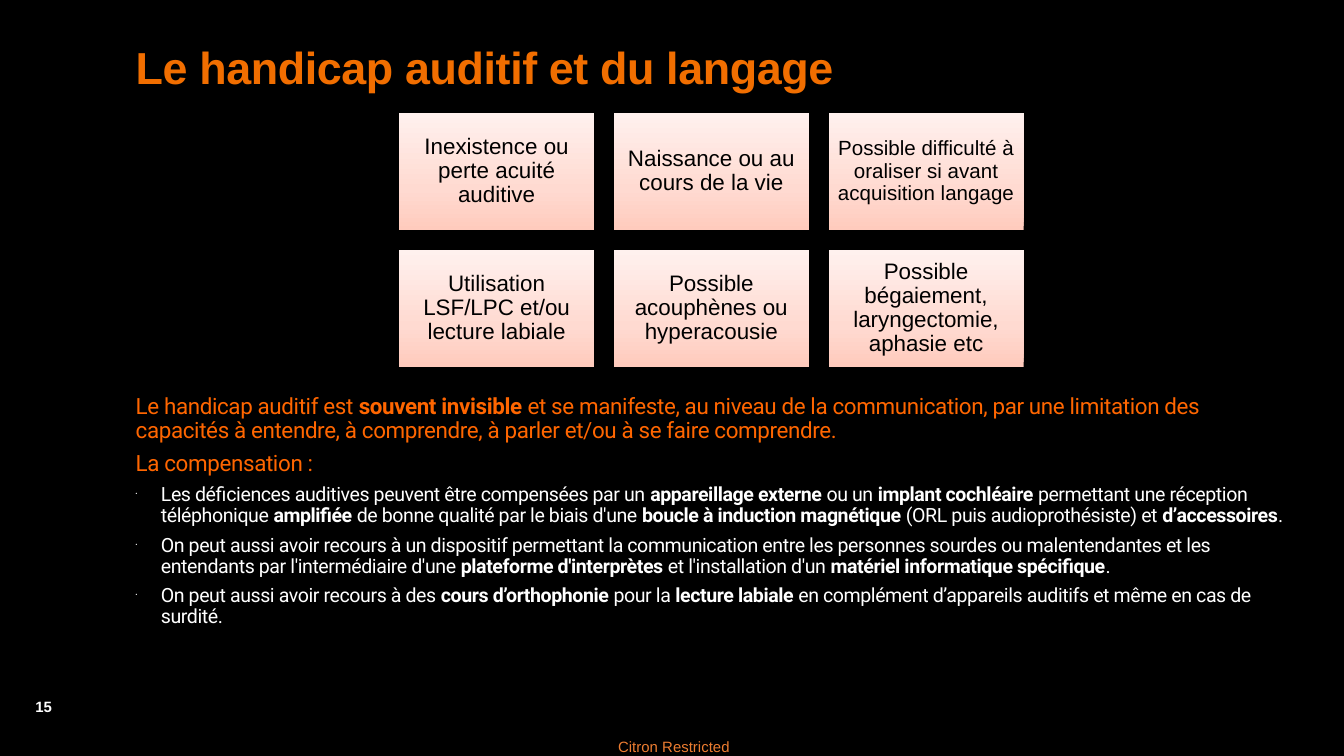
from copy import deepcopy

from lxml import etree
from pptx import Presentation
from pptx.dml.color import RGBColor
from pptx.enum.shapes import MSO_SHAPE
from pptx.enum.text import MSO_ANCHOR, MSO_AUTO_SIZE, PP_ALIGN
from pptx.oxml.ns import qn
from pptx.util import Pt

RECT = MSO_SHAPE.RECTANGLE
TOP, MIDDLE = MSO_ANCHOR.TOP, MSO_ANCHOR.MIDDLE
LEFT, CENTER = PP_ALIGN.LEFT, PP_ALIGN.CENTER
NO_FIT = MSO_AUTO_SIZE.NONE

COLORS = {
    "back": "000000", "title": "F16E00", "lead": "FF6600", "text": "FFFFFF",
    "card": "000000", "foot": "ED7D31",
    "low": "FFCBBD", "mid": "FFDAD1", "high": "FFF1EE",
}
STOPS = [(0, "low"), (0.35, "mid"), (1, "high")]

CARDS = [
    ("Inexistence ou perte acuité auditive", 12),
    ("Naissance ou au cours de la vie", 12),
    ("Possible difficulté à oraliser si avant acquisition langage", 11),
    ("Utilisation LSF/LPC et/ou lecture labiale", 12),
    ("Possible acouphènes ou hyperacousie", 12),
    ("Possible bégaiement, laryngectomie, aphasie etc", 12),
]
# Bold passages stand between asterisks.
LEADS = [
    "Le handicap auditif est *souvent invisible *et se manifeste, au niveau de la "
    "communication, par une limitation des capacités à entendre, à comprendre, "
    "à parler et/ou à se faire comprendre.",
    "La compensation :",
]
POINTS = [
    "Les déficiences auditives peuvent être compensées par un *appareillage externe *"
    "ou un *implant cochléaire *permettant une réception téléphonique *amplifiée* de "
    "bonne qualité par le biais d'une *boucle à induction magnétique* (ORL puis "
    "audioprothésiste) et *d’accessoires*.",
    "On peut aussi avoir recours à un dispositif permettant la communication entre "
    "les personnes sourdes ou malentendantes et les entendants par l'intermédiaire "
    "d'une *plateforme d'interprètes* et l'installation d'un *matériel informatique "
    "spécifique*.",
    "On peut aussi avoir recours à des *cours d’orthophonie* pour la *lecture labiale "
    "*en complément d’appareils auditifs et même en cas de surdité.",
]


def rgb(key):
    return RGBColor.from_string(COLORS[key])


def style(run, size, color, name="Arial", bold=False, tight=False):
    font = run.font
    font.size, font.name, font.bold = Pt(size), name, bold
    font.color.rgb = rgb(color)
    if tight:
        run._r.get_or_add_rPr().set("spc", "-20")


def place(shape, left, top, width, height):
    shape.left, shape.top = Pt(left), Pt(top)
    shape.width, shape.height = Pt(width), Pt(height)


def add_title(slide, *box):
    title = slide.shapes.title
    place(title, *box)
    frame = title.text_frame
    frame.text = "Le handicap auditif et du langage"
    frame.vertical_anchor, frame.auto_size = TOP, NO_FIT
    para = frame.paragraphs[0]
    para.alignment, para.line_spacing = LEFT, 0.9
    style(para.runs[0], 24, "title", bold=True, tight=True)


def set_bullet(para, dot):
    props = para._p.get_or_add_pPr()
    indent = Pt(13.5) if dot else 0
    props.set("marL", str(indent))
    props.set("indent", str(-indent))
    if not dot:
        etree.SubElement(props, qn("a:buNone"))
        return
    tint = etree.SubElement(props, qn("a:buClr"))
    etree.SubElement(tint, qn("a:srgbClr"), val=COLORS["text"])
    etree.SubElement(props, qn("a:buSzPct"), val="25000")
    etree.SubElement(props, qn("a:buFont"), typeface="Arial")
    etree.SubElement(props, qn("a:buChar"), char="•")


def add_body(slide, *box):
    body = slide.placeholders[1]
    place(body, *box)
    frame = body.text_frame
    frame.vertical_anchor, frame.auto_size = TOP, NO_FIT
    for i, text in enumerate(LEADS + POINTS):
        para = frame.add_paragraph() if i else frame.paragraphs[0]
        dot = i >= len(LEADS)
        size, color = (10.5, "text") if dot else (12, "lead")
        para.level = int(dot)
        set_bullet(para, dot)
        para.alignment, para.line_spacing = LEFT, 0.9
        para.space_before = Pt(4.5 if i else 0)
        for j, part in enumerate(text.split("*")):
            run = para.add_run()
            run.text = part
            style(run, size, color, "Roboto", j % 2 == 1, True)


def add_shade(shape):
    """Give the shape a soft shadow falling straight down."""
    shape.shadow.inherit = False
    effects = shape._element.spPr.find(qn("a:effectLst"))
    shade = etree.SubElement(effects, qn("a:outerShdw"), blurRad=str(Pt(3.1)),
                             dist=str(Pt(1.6)), dir="5400000", rotWithShape="0")
    tint = etree.SubElement(shade, qn("a:srgbClr"), val=COLORS["back"])
    etree.SubElement(tint, qn("a:alpha"), val="38000")


def add_card(slide, text, size, *box):
    card = slide.shapes.add_shape(RECT, *map(Pt, box))
    card.line.fill.background()
    fill = card.fill
    fill.gradient()
    fill.gradient_angle = 90
    stops = card._element.spPr.find(".//" + qn("a:gsLst"))
    stops.append(deepcopy(stops[0]))
    for stop, (spot, color) in zip(fill.gradient_stops, STOPS):
        stop.position, stop.color.rgb = spot, rgb(color)
    add_shade(card)
    frame = card.text_frame
    frame.text = text
    frame.word_wrap, frame.vertical_anchor = True, MIDDLE
    frame.margin_left = frame.margin_right = Pt(3.6)
    frame.margin_top = frame.margin_bottom = Pt(3.6)
    para = frame.paragraphs[0]
    para.alignment, para.line_spacing = CENTER, 0.9
    style(para.runs[0], size, "card")


def add_grid(slide, left, top, width, cols=3):
    """Lay the cards in rows, with gaps of a tenth of a card's width."""
    wide = width / (cols + 0.1 * (cols - 1))
    high, gap = 0.6 * wide, 0.1 * wide
    for i, (text, size) in enumerate(CARDS):
        row, col = divmod(i, cols)
        add_card(slide, text, size, left + col * (wide + gap),
                 top + row * (high + gap), wide, high)


def add_note(slide, text, color, bold, pad, *box):
    note = slide.shapes.add_textbox(*map(Pt, box))
    frame = note.text_frame
    frame.text = text
    frame.word_wrap = False
    frame.margin_left = frame.margin_right = Pt(2 * pad)
    frame.margin_top = frame.margin_bottom = Pt(pad)
    para = frame.paragraphs[0]
    para.alignment = CENTER
    style(para.runs[0], 8, color, bold=bold)


def main():
    deck = Presentation()
    deck.slide_width, deck.slide_height = Pt(720), Pt(405)
    slide = deck.slides.add_slide(deck.slide_layouts[1])
    back = slide.background.fill
    back.solid()
    back.fore_color.rgb = rgb("back")
    add_note(slide, "Citron Restricted", "foot", False, 0, 324.7, 395.3, 72.7, 9.4)
    add_note(slide, "15", "text", True, 3.6, 7.2, 370, 32.4, 17.3)
    add_title(slide, 65.5, 20.9, 635, 58.3)
    add_body(slide, 65.5, 208, 635, 147.6)
    add_grid(slide, 213.8, 60.5, 334.6)
    deck.save("out.pptx")


if __name__ == "__main__":
    main()
